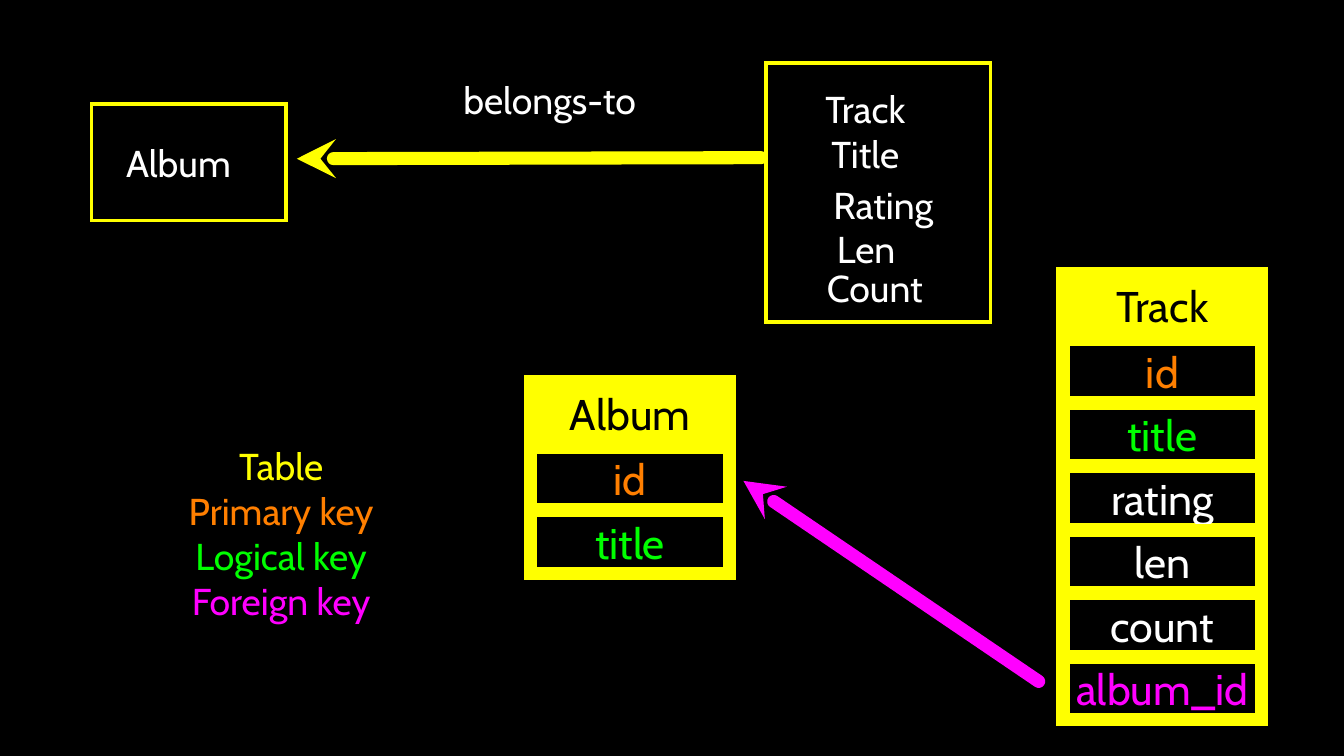
from dataclasses import dataclass

from lxml import etree
from pptx import Presentation
from pptx.dml.color import RGBColor
from pptx.enum.shapes import MSO_CONNECTOR, MSO_SHAPE
from pptx.enum.text import MSO_ANCHOR, PP_ALIGN
from pptx.oxml.ns import qn
from pptx.util import Cm, Pt

RECTANGLE = MSO_SHAPE.RECTANGLE
STRAIGHT = MSO_CONNECTOR.STRAIGHT
MIDDLE = MSO_ANCHOR.MIDDLE
CENTER = PP_ALIGN.CENTER

FONT = "Cabin"
BLACK, WHITE, YELLOW = "000000", "FFFFFF", "FFFF00"
ORANGE, GREEN, MAGENTA = "FF7F00", "00FF00", "FF00FF"
THIN, THICK = 2, 7
LABEL_SIZE, CELL_SIZE = 20, 23
LABEL_HEIGHT = 0.97
CELL_WIDTH, CELL_HEIGHT = 3.76, 1.19
HEADER_STEP, ROW_STEP = 1.24, 1.2


@dataclass
class Line:
    text: str
    color: str = WHITE


@dataclass
class Label:
    left: float
    top: float
    width: float
    lines: list[Line]
    height: float = LABEL_HEIGHT


@dataclass
class Entity:
    left: float
    top: float
    width: float
    height: float


@dataclass
class Arrow:
    tip: tuple[float, float]
    tail: tuple[float, float]
    color: str


@dataclass
class KeyTable:
    left: float
    top: float
    name: str
    columns: list[Line]


def rgb(color: str) -> RGBColor:
    return RGBColor.from_string(color)


def write(frame, lines: list[Line], size: float) -> None:
    frame.margin_left = frame.margin_right = 0
    frame.margin_top = frame.margin_bottom = 0
    frame.vertical_anchor = MIDDLE
    frame.word_wrap = True
    for number, line in enumerate(lines):
        paragraph = frame.add_paragraph() if number else frame.paragraphs[0]
        paragraph.text = line.text
        paragraph.alignment = CENTER
        paragraph.font.name = FONT
        paragraph.font.size = Pt(size)
        paragraph.font.color.rgb = rgb(line.color)


def draw_box(slide, box: Entity, weight: float, fill: str | None = None):
    shape = slide.shapes.add_shape(
        RECTANGLE, Cm(box.left), Cm(box.top), Cm(box.width), Cm(box.height))
    shape.shadow.inherit = False
    if fill:
        shape.fill.solid()
        shape.fill.fore_color.rgb = rgb(fill)
    else:
        shape.fill.background()
    shape.line.color.rgb = rgb(YELLOW)
    shape.line.width = Pt(weight)
    etree.SubElement(shape.line._get_or_add_ln(), qn("a:miter"), lim="800000")
    return shape


def draw_label(slide, label: Label) -> None:
    text_box = slide.shapes.add_textbox(
        Cm(label.left), Cm(label.top), Cm(label.width), Cm(label.height))
    write(text_box.text_frame, label.lines, LABEL_SIZE)


def draw_arrow(slide, arrow: Arrow) -> None:
    connector = slide.shapes.add_connector(
        STRAIGHT, *map(Cm, arrow.tip), *map(Cm, arrow.tail))
    connector.line.color.rgb = rgb(arrow.color)
    connector.line.width = Pt(THICK)
    outline = connector.line._get_or_add_ln()
    outline.set("cap", "rnd")
    etree.SubElement(outline, qn("a:round"))
    etree.SubElement(outline, qn("a:headEnd"), type="stealth")
    etree.SubElement(connector._element.spPr, qn("a:effectLst"))


def draw_key_table(slide, table: KeyTable) -> None:
    header = draw_box(
        slide, Entity(table.left, table.top, CELL_WIDTH, CELL_HEIGHT), THICK, YELLOW)
    write(header.text_frame, [Line(table.name, BLACK)], CELL_SIZE)
    for row, column in enumerate(table.columns):
        top = table.top + HEADER_STEP + row * ROW_STEP
        cell = draw_box(slide, Entity(table.left, top, CELL_WIDTH, CELL_HEIGHT), THICK)
        write(cell.text_frame, [column], CELL_SIZE)


ENTITIES = [Entity(14.48, 1.19, 4.24, 4.9), Entity(1.73, 1.96, 3.68, 2.21)]

KEY_TABLES = [
    KeyTable(10.03, 7.21, "Album", [Line("id", ORANGE), Line("title", GREEN)]),
    KeyTable(20.09, 5.18, "Track", [
        Line("id", ORANGE), Line("title", GREEN), Line("rating"),
        Line("len"), Line("count"), Line("album_id", MAGENTA)]),
]

ARROWS = [
    Arrow((5.61, 3.0), (14.38, 2.98), YELLOW),
    Arrow((14.05, 9.09), (19.63, 12.88), MAGENTA),
]

LABELS = [
    Label(2.31, 2.59, 2.13, [Line("Album")]),
    Label(8.41, 1.4, 3.96, [Line("belongs-to")]),
    Label(15.44, 1.57, 1.83, [Line("Track")]),
    Label(15.57, 2.41, 1.57, [Line("Title")]),
    Label(15.44, 3.38, 2.51, [Line("Rating")]),
    Label(15.72, 4.22, 1.3, [Line("Len")]),
    Label(15.52, 4.95, 2.03, [Line("Count")]),
    # Colour legend
    Label(2.84, 8.38, 4.95, [
        Line("Table", YELLOW), Line("Primary key", ORANGE),
        Line("Logical key", GREEN), Line("Foreign key", MAGENTA)], 3.4),
]


def main() -> None:
    deck = Presentation()
    deck.slide_width, deck.slide_height = Cm(25.4), Cm(14.29)
    slide = deck.slides.add_slide(deck.slide_layouts[6])
    slide.background.fill.solid()
    slide.background.fill.fore_color.rgb = rgb(BLACK)

    # Logical model
    for entity in ENTITIES:
        draw_box(slide, entity, THIN)
    # Database tables
    for table in KEY_TABLES:
        draw_key_table(slide, table)
    # Relationships
    for arrow in ARROWS:
        draw_arrow(slide, arrow)
    # Names and legend
    for label in LABELS:
        draw_label(slide, label)

    deck.save("out.pptx")


if __name__ == "__main__":
    main()
